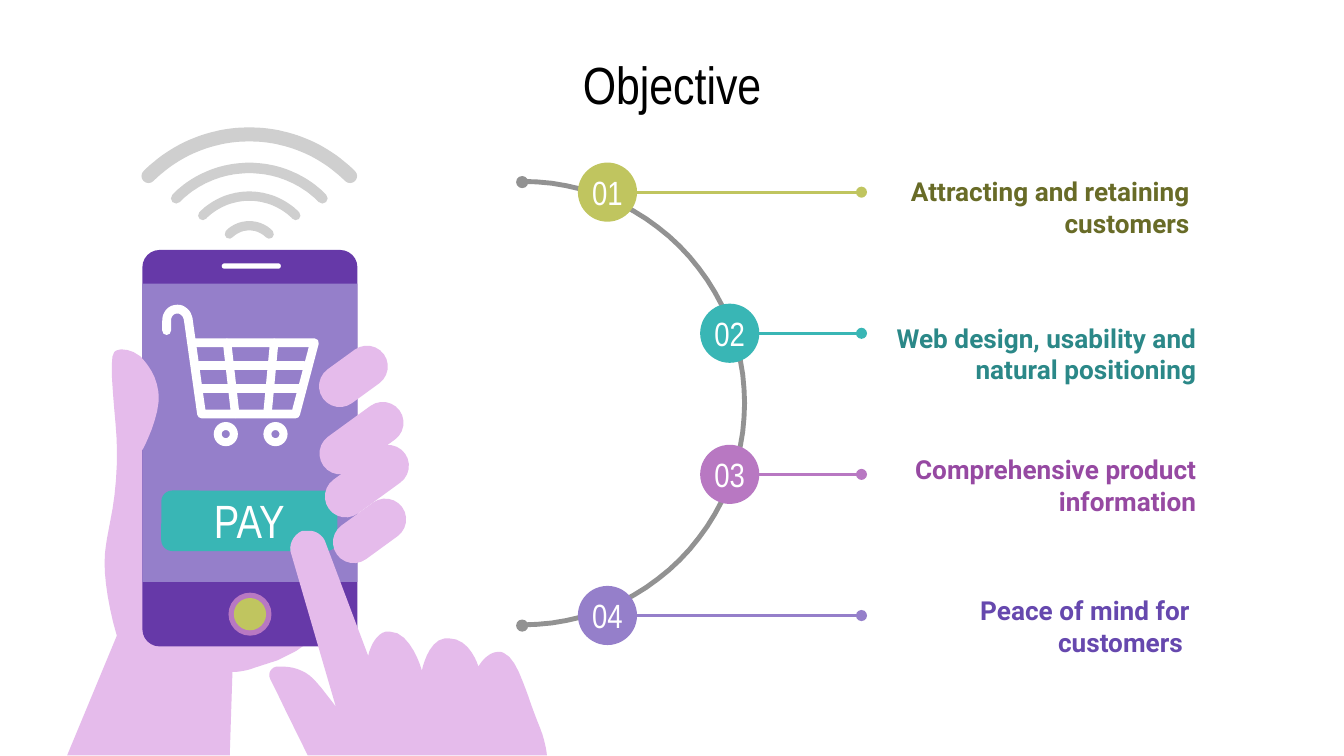
from math import cos, radians, sin

from lxml import etree
from pptx import Presentation
from pptx import util as u
from pptx.dml.color import RGBColor
from pptx.enum import shapes as kinds, text as txt
from pptx.oxml.ns import qn

COLOURS = {
    "white": "FFFFFF", "black": "000000", "grey": "929292", "signal": "CFCFCF",
    "skin": "E5BBEB", "case": "6639A8", "lilac": "957FCA", "teal": "39B6B5",
    "orchid": "B878C2", "olive": "C0C55F", "dark olive": "686B27",
    "dark teal": "2B8888", "dark orchid": "9649A2", "dark lilac": "6648AE",
}
OVAL, RECT, ROUNDED, DONUT = (
    kinds.MSO_SHAPE.OVAL, kinds.MSO_SHAPE.RECTANGLE,
    kinds.MSO_SHAPE.ROUNDED_RECTANGLE, kinds.MSO_SHAPE.DONUT)

deck = Presentation()
deck.slide_width, deck.slide_height = u.Inches(10), u.Inches(10 * 9 / 16)
slide = deck.slides.add_slide(deck.slide_layouts[5])


def draw(kind, geometry, fill=None, line=None, width=0, adjust=None, turn=0):
    """Draw a preset (box), a "line" (two ends) or a "trace".

    A trace is a list of steps: two numbers make a straight step, six a Bezier
    curve. It may also be text, with commas between the steps.
    """
    if kind == "trace":
        if isinstance(geometry, str):
            geometry = [[float(n) for n in step.split()] for step in geometry.split(",")]
        points = [tuple(geometry[0])]
        for step in geometry[1:]:
            if len(step) == 2:
                points.append(tuple(step))
                continue
            x0, y0 = points[-1]
            x1, y1, x2, y2, x3, y3 = step
            for t in (i / 8 for i in range(1, 9)):
                a, b, c, d = (1 - t) ** 3, 3 * t * (1 - t) ** 2, 3 * t * t * (1 - t), t ** 3
                points.append((a * x0 + b * x1 + c * x2 + d * x3,
                               a * y0 + b * y1 + c * y2 + d * y3))
        points = [(x * 1000, y * 1000) for x, y in points]
        builder = slide.shapes.build_freeform(*points[0], scale=u.Inches(1) / 1000)
        builder.add_line_segments(points[1:], close=fill is not None)
        shape = builder.convert_to_shape()
    elif kind == "line":
        shape = slide.shapes.add_connector(
            kinds.MSO_CONNECTOR.STRAIGHT, *map(u.Inches, geometry))
    else:
        shape = slide.shapes.add_shape(kind, *map(u.Inches, geometry))
        shape.rotation = turn
        if adjust is not None:
            shape.adjustments[0] = adjust
    if fill:
        shape.fill.solid()
        shape.fill.fore_color.rgb = RGBColor.from_string(COLOURS[fill])
    elif kind != "line":
        shape.fill.background()
    if line:
        shape.line.color.rgb = RGBColor.from_string(COLOURS[line])
        shape.line.width = u.Pt(width)
        shape.get_or_add_ln().set("cap", "rnd")
        etree.SubElement(shape.get_or_add_ln(), qn("a:round"))
    else:
        shape.line.fill.background()
    etree.SubElement(shape.element.spPr, qn("a:effectLst"))
    return shape


def write(shape, words, size, colour, font="Arial Narrow", bold=False,
          align=txt.PP_ALIGN.CENTER, wrap=True):
    frame = shape.text_frame
    frame.auto_size = txt.MSO_AUTO_SIZE.NONE
    frame.word_wrap = wrap
    frame.vertical_anchor = txt.MSO_ANCHOR.MIDDLE
    frame.margin_left = frame.margin_right = u.Inches(0.1)
    frame.margin_top = frame.margin_bottom = u.Inches(0.1)
    paragraph = frame.paragraphs[0]
    paragraph.alignment = align
    run = paragraph.add_run()
    run.text = words
    run.font.name, run.font.size, run.font.bold = font, u.Pt(size), bold
    run.font.color.rgb = RGBColor.from_string(COLOURS[colour])


title = slide.shapes.title
title.left, title.top, title.width, title.height = map(u.Inches, (2.75, 0.45, 4.5, 0.35))
write(title, "Objective", 28, "black")

# Half circle of the timeline and the signal waves: centre, radius, half sweep
arcs = [(3.89, 3.0, 1.65, 0, 90, "grey", 2.6)]
for radius, top, width in ((1.06, 1.0, 7.5), (0.77, 1.25, 5.6),
                           (0.49, 1.46, 5), (0.21, 1.68, 5)):
    arcs.append((1.855, top + radius, radius, 90, 45, "signal", width))
for x, y, radius, middle, half, colour, width in arcs:
    angles = [radians(middle + half * i / 24) for i in range(-24, 25)]
    draw("trace", [(x + radius * cos(a), y - radius * sin(a)) for a in angles],
         line=colour, width=width)
for top in (1.31, 4.61):
    draw(OVAL, (3.84, top, 0.09, 0.09), "grey")

# Objectives, one row each
FIRST_ROW, ROW, BADGE = 1.43, 1.05, 0.44
objectives = [
    (4.52, 6.37, 1.24, "olive", "Attracting and retaining customers"),
    (5.43, 6.42, 2.33, "teal", "Web design, usability and natural positioning"),
    (5.43, 6.42, 3.31, "orchid", "Comprehensive product information"),
    (4.52, 6.37, 4.36, "lilac", "Peace of mind for customers "),
]
for i, (x, label_left, label_top, colour, objective) in enumerate(objectives):
    y = FIRST_ROW + i * ROW
    leader = draw("line", (x + 0.15, y, 6.41, y), line=colour, width=1.5)
    etree.SubElement(leader.get_or_add_ln(), qn("a:tailEnd"), type="oval")
    badge = draw(OVAL, (x - BADGE / 2, y - BADGE / 2, BADGE, BADGE), colour)
    write(badge, f"{i + 1:02}", 18, "white", wrap=False)
    label = slide.shapes.add_textbox(*map(u.Inches, (label_left, label_top, 2.58, 0.6)))
    write(label, objective, 14, "dark " + colour, font="Roboto", bold=True,
          align=txt.PP_ALIGN.RIGHT)

# Holding hand, behind the phone
draw("trace", "0.91 2.6, 0.88 2.6 0.86 2.61 0.85 2.62, 0.8 2.66 0.87 3.16 0.87 3.32,"
     "0.88 3.69 0.8 3.95 0.79 4.05, 0.76 4.2 0.79 4.46 0.87 4.73, 0.5 5.62, 1.71 5.62,"
     "1.73 5, 1.78 5 1.84 4.99 1.89 4.97, 2.41 4.84 2.5 4.51 2.5 4.51,"
     "2.5 4.51 1.38 3.59 1.26 3.08, 1.17 2.69 1.01 2.6 0.91 2.6", "skin")

# Phone
for kind, box, colour, adjust in (
        (ROUNDED, (1.06, 1.86, 1.6, 2.95), "case", 0.08),
        (RECT, (1.06, 2.11, 1.6, 2.22), "lilac", None),
        (ROUNDED, (1.2, 3.65, 1.31, 0.45), "teal", 0.18),
        (ROUNDED, (1.65, 1.96, 0.44, 0.04), "white", 0.5),
        (OVAL, (1.7, 4.41, 0.32, 0.32), "orchid", None),
        (OVAL, (1.74, 4.45, 0.24, 0.24), "olive", None),
        (DONUT, (1.59, 3.14, 0.18, 0.18), "white", 0.33),
        (DONUT, (1.96, 3.14, 0.18, 0.18), "white", 0.33)):
    draw(kind, box, colour, adjust=adjust)

# Shopping cart
draw("trace", "1.24 2.46, 1.24 2.39, 1.24 2.34 1.27 2.3 1.32 2.3,"
     "1.36 2.3 1.39 2.33 1.4 2.37, 1.5 3.08, 2.2 3.08, 2.34 2.55, 1.43 2.55",
     line="white", width=4.7)
for bar in ((1.69, 2.55, 1.75, 3.08), (2.04, 2.55, 1.99, 3.08),
            (1.48, 2.72, 2.26, 2.72), (1.5, 2.89, 2.24, 2.89)):
    draw("line", bar, line="white", width=4.5)

# Fingers and thumb around the phone
THICKNESS = 0.31
for x, y, length in ((2.69, 3.26, 0.7), (2.73, 3.58, 0.7),
                     (2.75, 3.95, 0.6), (2.63, 2.8, 0.56)):
    draw(ROUNDED, (x - length / 2, y - THICKNESS / 2, length, THICKNESS),
         "skin", adjust=0.5, turn=-36)
draw("trace", "1.04 2.65, 1.01 2.93, 1.06 3.35, 1.06 3.35 1.2 3.09 1.18 2.92,"
     "1.16 2.75 1.04 2.65 1.04 2.65", "skin")

# Pointing hand
draw("trace", "2.3 3.95, 2.28 3.95 2.27 3.95 2.25 3.95, 2.18 3.98 2.14 4.06 2.17 4.13,"
     "2.5 5.26, 2.44 5.18 2.38 5.1 2.33 5.05, 2.26 4.98 2.17 4.96 2.09 4.96,"
     "2.07 4.96, 2.02 4.96 1.99 5.01 2.01 5.05, 2.07 5.17 2.18 5.4 2.29 5.62,"
     "4.07 5.62, 4.06 5.54 4.04 5.47 4.02 5.42, 3.93 5.21 3.86 4.9 3.75 4.86,"
     "3.73 4.85 3.72 4.85 3.71 4.85, 3.62 4.85 3.56 4.96 3.56 4.96,"
     "3.56 4.96 3.5 4.75 3.34 4.75, 3.31 4.75, 3.18 4.77 3.14 4.99 3.14 4.99,"
     "3.14 4.99 3.06 4.7 2.9 4.7, 2.87 4.7, 2.8 4.72 2.76 4.8 2.74 4.88,"
     "2.42 4.03, 2.4 3.98 2.35 3.95 2.3 3.95", "skin")

pay = slide.shapes.add_textbox(*map(u.Inches, (1.21, 3.67, 1.29, 0.39)))
write(pay, "PAY", 25, "white")

deck.save("out.pptx")
